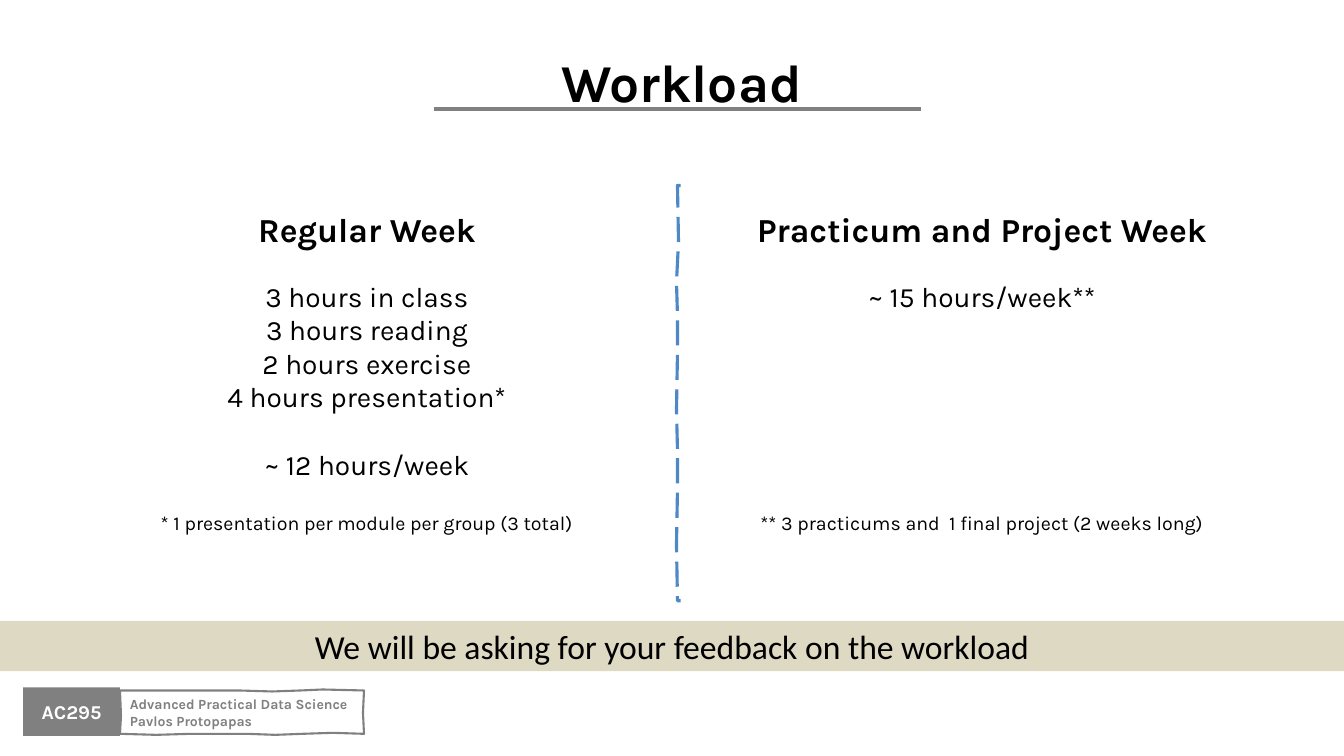
"""Build the Workload slide with its two week columns and feedback band."""
import pptx
import pptx.dml.color
import pptx.enum.dml
import pptx.enum.shapes
import pptx.enum.text
import pptx.oxml.ns
import pptx.util
import lxml.etree

Inches = pptx.util.Inches
Pt = pptx.util.Pt
CENTER = pptx.enum.text.PP_ALIGN.CENTER
LEFT = pptx.enum.text.PP_ALIGN.LEFT
TOP = pptx.enum.text.MSO_ANCHOR.TOP
MIDDLE = pptx.enum.text.MSO_ANCHOR.MIDDLE

GREY, BLACK, WHITE, BLUE, SAND = "808080", "000000", "FFFFFF", "4E88C7", "DDD9C3"

# text, size, bold, space before
TITLE = [("Workload", 38, True, 0)]
COURSE_CODE = [("AC295", 14, True, 0)]
COURSE_LABEL = [
    ("Advanced Practical Data Science", 10, True, 0),
    ("Pavlos Protopapas", 10, True, 0),
]
FEEDBACK = [("We will be asking for your feedback on the workload", 24, False, 0)]
WEEK_COLUMNS = [
    ((0.61, 2.02, 6.06, 3.37), [
        ("Regular Week", 24, True, 0),
        ("3 hours in class", 20, False, 21.6),
        ("3 hours reading", 20, False, 0),
        ("2 hours exercise", 20, False, 0),
        ("4 hours presentation*", 20, False, 0),
        ("~ 12 hours/week", 20, False, 24),
        ("* 1 presentation per module per group (3 total)", 14, False, 21.6),
    ]),
    ((6.75, 2.02, 5.98, 3.37), [
        ("Practicum and Project Week", 24, True, 0),
        ("~ 15 hours/week**", 20, False, 21.6),
        ("** 3 practicums and  1 final project (2 weeks long)", 14, False, 141.6),
    ]),
]
LABEL_OUTLINE = [
    (1.19, 6.85), (1.77, 6.85), (2.37, 6.85), (2.7, 6.86), (2.98, 6.85), (3.2, 6.84),
    (3.61, 6.85), (3.6, 7.07), (3.61, 7.28), (3.3, 7.27), (3, 7.28), (2.73, 7.29),
    (2.45, 7.28), (1.89, 7.28), (1.55, 7.29), (1.19, 7.28), (1.2, 7.1),
]
DIVIDER = [
    (6.75, 1.84), (6.72, 1.84), (6.73, 2.4), (6.71, 2.8), (6.72, 3.13), (6.72, 3.5),
    (6.71, 4.07), (6.72, 4.46), (6.72, 4.85), (6.71, 5.4), (6.72, 5.96), (6.75, 5.96),
]


def color(value):
    return pptx.dml.color.RGBColor.from_string(value)


def write(shape, lines, font="Karla", ink=BLACK, align=CENTER, anchor=TOP):
    frame = shape.text_frame
    frame.word_wrap = True
    frame.vertical_anchor = anchor
    frame.text = "\n".join(line[0] for line in lines)
    for paragraph, (_, size, bold, before) in zip(frame.paragraphs, lines):
        paragraph.alignment = align
        paragraph.space_before = Pt(before)
        for run in paragraph.runs:
            run.font.name = font
            run.font.size = Pt(size)
            run.font.bold = bold
            run.font.color.rgb = color(ink)


def add_text(slide, box, lines, **style):
    shape = slide.shapes.add_textbox(*map(Inches, box))
    write(shape, lines, **style)


def add_block(slide, box, fill):
    rectangle = pptx.enum.shapes.MSO_SHAPE.RECTANGLE
    shape = slide.shapes.add_shape(rectangle, *map(Inches, box))
    shape.shadow.inherit = False
    shape.fill.solid()
    shape.fill.fore_color.rgb = color(fill)
    shape.line.fill.background()
    return shape


def add_outline(slide, points, ink, width, close):
    start, *rest = [(Inches(x), Inches(y)) for x, y in points]
    builder = slide.shapes.build_freeform(*start)
    builder.add_line_segments(rest, close=close)
    shape = builder.convert_to_shape()
    shape.shadow.inherit = False
    shape.fill.background()
    shape.line.color.rgb = color(ink)
    shape.line.width = Pt(width)
    return shape


def add_rule(slide, start, end, ink, width):
    straight = pptx.enum.shapes.MSO_CONNECTOR.STRAIGHT
    rule = slide.shapes.add_connector(straight, *map(Inches, start + end))
    rule.line.color.rgb = color(ink)
    rule.line.width = Pt(width)
    properties = rule._element.spPr
    lxml.etree.SubElement(properties, pptx.oxml.ns.qn("a:effectLst"))


def main():
    presentation = pptx.Presentation()
    presentation.slide_width = Inches(13.33)
    presentation.slide_height = Inches(7.5)
    slide = presentation.slides.add_slide(presentation.slide_layouts[6])

    add_rule(slide, (4.3, 1.08), (9.13, 1.08), GREY, 3)
    add_text(slide, (1.27, 0.44, 10.98, 0.71), TITLE)

    add_block(slide, (0.23, 6.82, 0.96, 0.48), GREY)
    add_text(slide, (0, 6.89, 1.42, 0.56), COURSE_CODE, ink=WHITE)
    label = add_outline(slide, LABEL_OUTLINE, GREY, 1.5, True)
    write(label, COURSE_LABEL, ink=GREY, align=LEFT, anchor=MIDDLE)

    divider = add_outline(slide, DIVIDER, BLUE, 2.25, False)
    divider.line.dash_style = pptx.enum.dml.MSO_LINE.LONG_DASH
    for box, lines in WEEK_COLUMNS:
        add_text(slide, box, lines)

    band = add_block(slide, (0, 6.16, 13.33, 0.5), SAND)
    write(band, FEEDBACK, font="Calibri", anchor=MIDDLE)
    presentation.save("out.pptx")


if __name__ == "__main__":
    main()
